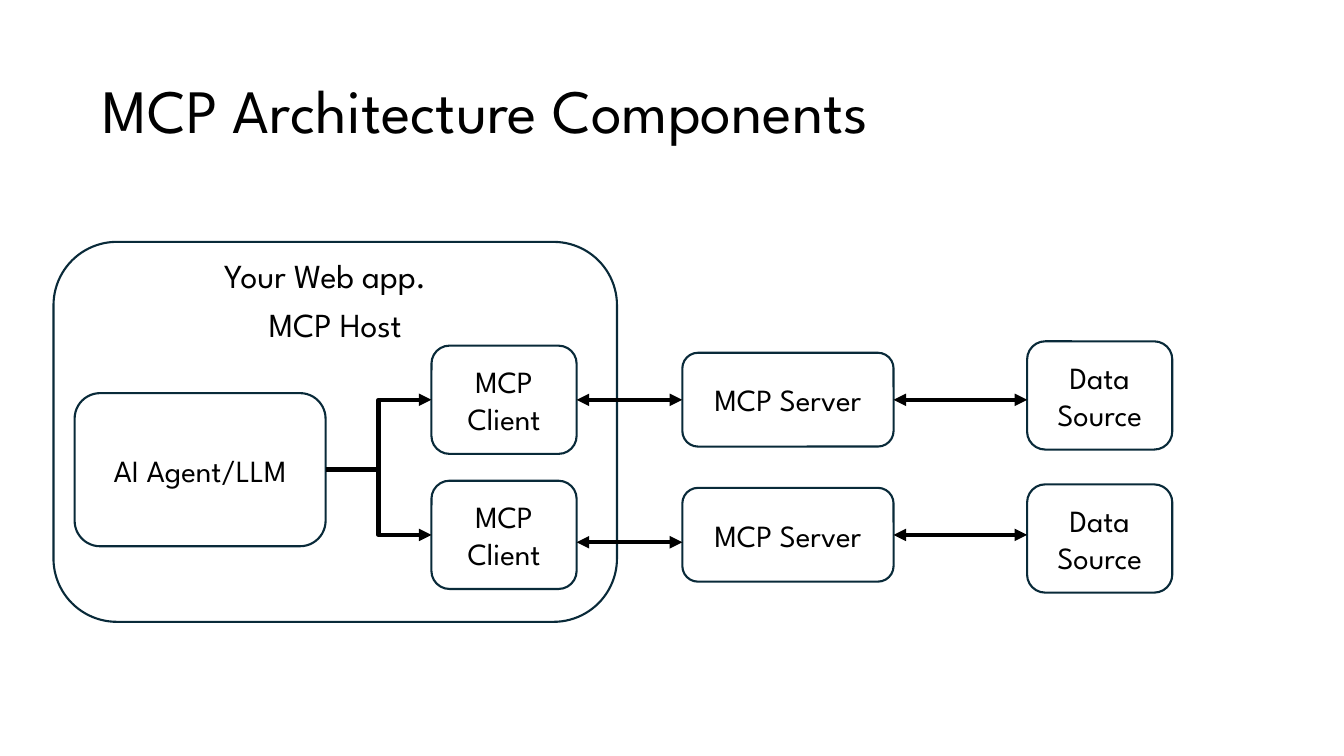
"""Build the MCP architecture slide."""
from lxml import etree
from pptx import Presentation
from pptx.dml.color import RGBColor
from pptx.enum.shapes import MSO_CONNECTOR, MSO_SHAPE
from pptx.enum.text import MSO_ANCHOR, PP_ALIGN
from pptx.oxml.ns import qn
from pptx.util import Pt

ROUNDED = MSO_SHAPE.ROUNDED_RECTANGLE
STRAIGHT, ELBOW = MSO_CONNECTOR.STRAIGHT, MSO_CONNECTOR.ELBOW
LEFT, CENTER = PP_ALIGN.LEFT, PP_ALIGN.CENTER
TOP, MIDDLE = MSO_ANCHOR.TOP, MSO_ANCHOR.MIDDLE

FONT = "League Spartan"
BLACK, OUTLINE = "000000", "092A39"

TITLE_FORMAT = {
    "frame": {"word_wrap": True, "vertical_anchor": MIDDLE},
    "paragraph": {"alignment": LEFT, "line_spacing": 0.9},
    "font": {"name": FONT, "size": Pt(44)},
}
LABEL_FORMAT = {
    "frame": {"word_wrap": True, "vertical_anchor": TOP, "margin_left": 0,
              "margin_right": 0, "margin_top": 0, "margin_bottom": 0},
    "paragraph": {"alignment": CENTER, "space_after": Pt(10)},
    "font": {"name": FONT, "size": Pt(24)},
}
BOX_FORMAT = {
    "frame": {"word_wrap": True, "vertical_anchor": MIDDLE},
    "paragraph": {"alignment": CENTER},
    "font": {"name": FONT, "size": Pt(22)},
}

AGENT_RIGHT, AGENT_MIDDLE = 232.6, 335.5
CLIENT_LEFT, CLIENT_RIGHT = 308.2, 411.9
SERVER_LEFT, SERVER_RIGHT = 487.4, 638.3
SOURCE_LEFT = 733.7
COLUMNS = [
    ("MCP Client", CLIENT_LEFT, 103.7, 77.3, (246.9, 343.4)),
    ("MCP Server", SERVER_LEFT, 150.9, 67, (252, 348.5)),
    ("Data Source", SOURCE_LEFT, 103.7, 77.3, (243.8, 346)),
]
ROWS = [(285.6, 285.6), (382.1, 387.3)]


def color(value):
    """Return the colour of a hex string."""
    return RGBColor.from_string(value)


def apply_format(target, values):
    """Set each attribute in values on target."""
    for name, value in values.items():
        setattr(target, name, value)


def write_text(shape, text, formats):
    """Write one formatted paragraph into a shape."""
    frame = shape.text_frame
    apply_format(frame, formats["frame"])
    paragraph = frame.paragraphs[0]
    apply_format(paragraph, formats["paragraph"])
    run = paragraph.add_run()
    run.text = text
    apply_format(run.font, formats["font"])
    run.font.color.rgb = color(BLACK)


def add_text(slide, text, bounds, formats):
    """Add a text box."""
    write_text(slide.shapes.add_textbox(*map(Pt, bounds)), text, formats)


def add_box(slide, bounds, text=None):
    """Add an outlined rounded box, with text if given."""
    shape = slide.shapes.add_shape(ROUNDED, *map(Pt, bounds))
    shape.shadow.inherit = False
    shape.fill.background()
    shape.line.color.rgb = color(OUTLINE)
    shape.line.width = Pt(1.5)
    if text:
        write_text(shape, text, BOX_FORMAT)


def add_arrow(slide, kind, start, end, ends=("tailEnd",)):
    """Add a connector with triangles at the named ends."""
    connector = slide.shapes.add_connector(kind, *map(Pt, start + end))
    connector.line.color.rgb = color(BLACK)
    connector.line.width = Pt(3)
    properties = connector._element.spPr
    line = properties.find(qn("a:ln"))
    for name in ends:
        etree.SubElement(line, qn(f"a:{name}"), type="triangle")
    etree.SubElement(properties, qn("a:effectLst"))


def main():
    """Build and save the slide."""
    presentation = Presentation()
    presentation.slide_width, presentation.slide_height = Pt(960), Pt(540)
    slide = presentation.slides.add_slide(presentation.slide_layouts[6])

    add_text(slide, "MCP Architecture Components", (66.2, 28.8, 856, 104.4), TITLE_FORMAT)
    add_box(slide, (38.2, 172.8, 402.5, 271.4))
    add_text(slide, "Your Web app.", (77.8, 182.2, 308.9, 36.7), LABEL_FORMAT)
    add_text(slide, "MCP Host", (85, 216.7, 308.9, 36.7), LABEL_FORMAT)
    add_box(slide, (53.3, 280.8, 179.3, 109.4), "AI Agent/LLM")
    for text, left, width, height, tops in COLUMNS:
        for top in tops:
            add_box(slide, (left, top, width, height), text)

    both = ("headEnd", "tailEnd")
    for middle, client_middle in ROWS:
        add_arrow(slide, ELBOW, (AGENT_RIGHT, AGENT_MIDDLE), (CLIENT_LEFT, middle))
        add_arrow(slide, STRAIGHT, (CLIENT_RIGHT, client_middle),
                  (SERVER_LEFT, client_middle), both)
        add_arrow(slide, STRAIGHT, (SERVER_RIGHT, middle), (SOURCE_LEFT, middle), both)

    presentation.save("out.pptx")


if __name__ == "__main__":
    main()
